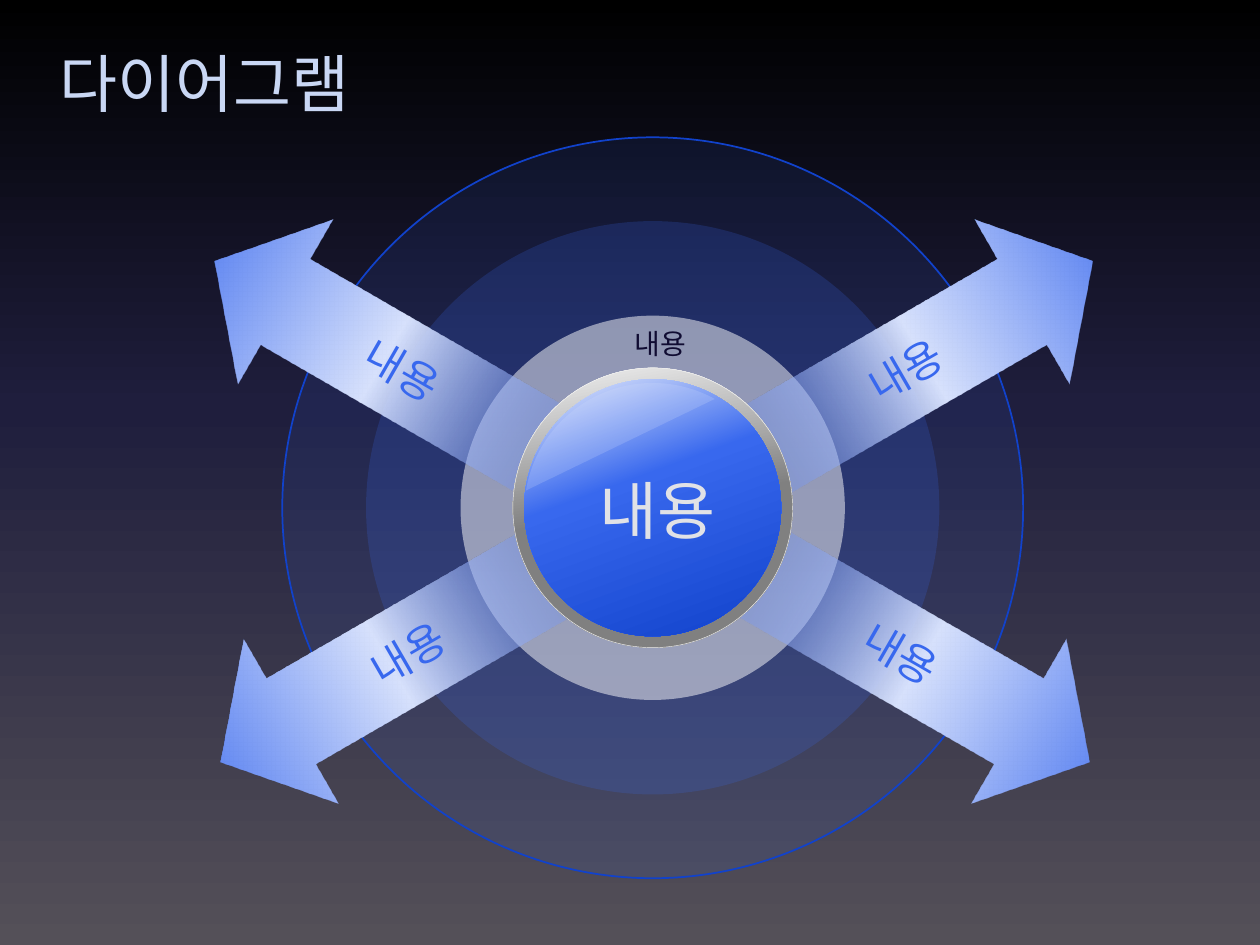
from lxml import etree
from pptx import Presentation
from pptx.dml.color import RGBColor
from pptx.enum.shapes import MSO_SHAPE
from pptx.enum.text import MSO_ANCHOR, PP_ALIGN
from pptx.oxml.ns import qn
from pptx.util import Inches, Pt

OVAL, ARROW, CHORD = MSO_SHAPE.OVAL, MSO_SHAPE.RIGHT_ARROW, MSO_SHAPE.CHORD
MIDDLE, LEFT, CENTER = MSO_ANCHOR.MIDDLE, PP_ALIGN.LEFT, PP_ALIGN.CENTER

BLACK = RGBColor(0x00, 0x00, 0x00)
WHITE = RGBColor(0xFF, 0xFF, 0xFF)
NIGHT = RGBColor(0x1F, 0x1E, 0x3D)
STONE = RGBColor(0x54, 0x50, 0x58)
BLUE = RGBColor(0x38, 0x68, 0xEE)
DEEP = RGBColor(0x11, 0x42, 0xCB)
PALE = RGBColor(0xD7, 0xE1, 0xFC)
ICE = RGBColor(0xEB, 0xF0, 0xFD)
SILVER = RGBColor(0xF2, 0xF2, 0xF2)
GRAY = RGBColor(0x80, 0x80, 0x80)
TITLE = RGBColor(0xC9, 0xD7, 0xF4)
LIGHT = RGBColor(0xE1, 0xE2, 0xE6)
INK = RGBColor(0x10, 0x0C, 0x32)

FONT = "Arial"
LABEL = "내용"
CX, CY = 5.18, 4.03                     # common centre of rings and button
ARROW_W, ARROW_H = 3.1, 1.51

# Diameter, colour, opacity in percent, outline
RINGS = [(5.88, BLUE, 10, DEEP), (4.55, BLUE, 20, None), (3.05, WHITE, 50, None)]
# Centre x, centre y, rotation, flip attribute
ARROWS = [(7.3, 5.27, 30, None), (7.33, 2.85, 330, None),
          (3.09, 5.27, 150, "flipV"), (3.05, 2.85, 30, "flipH")]
# Left, top, width, height, size, colour
LABELS = [(4.66, 3.69, 1.2, 0.71, 36, LIGHT), (4.94, 2.54, 0.66, 0.37, 16, INK)]

# Gradient stops: position, colour, opacity
BACKDROP = [(0, BLACK, 100), (43, NIGHT, 100), (100, STONE, 100)]
BEAM = [(0, BLUE, 0), (50, PALE, 100), (100, BLUE, 100)]
RIM = [(0, SILVER, 100), (50, GRAY, 100), (100, GRAY, 100)]
BUTTON = [(0, ICE, 100), (40, BLUE, 100), (100, DEEP, 100)]


def set_alpha(color_el, opacity):
    if opacity < 100:
        etree.SubElement(color_el, qn("a:alpha"), val=str(opacity * 1000))


def set_gradient(fill, root, stops, angle):
    fill.gradient()
    grad = root.find(".//" + qn("a:gradFill"))
    stop_list = grad.find(qn("a:gsLst"))
    for old in list(stop_list):
        stop_list.remove(old)
    for pos, color, opacity in stops:
        gs = etree.SubElement(stop_list, qn("a:gs"), pos=str(pos * 1000))
        set_alpha(etree.SubElement(gs, qn("a:srgbClr"), val=str(color)), opacity)
    grad.find(qn("a:lin")).set("ang", str(angle * 60000))


def add_centered(shapes, kind, cx, cy, w, h, line=None, weight=1):
    sp = shapes.add_shape(kind, Inches(cx - w / 2), Inches(cy - h / 2),
                          Inches(w), Inches(h))
    sp.shadow.inherit = False
    if line is None:
        sp.line.fill.background()
    else:
        sp.line.color.rgb = line
        sp.line.width = Pt(weight)
    return sp


def set_solid(sp, color, opacity):
    sp.fill.solid()
    sp.fill.fore_color.rgb = color
    set_alpha(sp._element.spPr.find(qn("a:solidFill"))[0], opacity)


def set_text(tf, text, size, color):
    tf.text = text
    font = tf.paragraphs[0].font
    font.size, font.name, font.color.rgb = Pt(size), FONT, color


prs = Presentation()
prs.slide_width, prs.slide_height = Inches(10), Inches(7.5)
s = prs.slides.add_slide(prs.slide_layouts[5])
set_gradient(s.background.fill, s._element, BACKDROP, 90)

# Title
title = s.shapes.title
title.left, title.top = Inches(0.37), Inches(0.19)
title.width, title.height = Inches(9.26), Inches(0.92)
set_text(title.text_frame, "다이어그램", 36, TITLE)
title.text_frame.vertical_anchor = MIDDLE
title.text_frame.paragraphs[0].alignment = LEFT

# Concentric rings
rings = s.shapes.add_group_shape().shapes
for size, color, opacity, line in RINGS:
    set_solid(add_centered(rings, OVAL, CX, CY, size, size, line), color, opacity)

# Arrows pointing to the four corners
for cx, cy, rotation, flip in ARROWS:
    sp = add_centered(s.shapes, ARROW, cx, cy, ARROW_W, ARROW_H)
    sp.rotation = rotation
    sp.adjustments[0], sp.adjustments[1] = 0.52, 0.43
    if flip:
        sp._element.spPr.find(qn("a:xfrm")).set(flip, "1")
    set_gradient(sp.fill, sp._element, BEAM, 0)
    tf = sp.text_frame
    set_text(tf, LABEL, 24, BLUE)
    tf.word_wrap = False
    tf.vertical_anchor = MIDDLE
    tf.paragraphs[0].alignment = CENTER

# Glossy centre button: rim, face, highlight
button = s.shapes.add_group_shape().shapes
rim = add_centered(button, OVAL, CX, CY, 2.22, 2.22, SILVER, 0.25)
set_gradient(rim.fill, rim._element, RIM, 80)
face = add_centered(button, OVAL, CX, CY, 2.04, 2.04)
set_gradient(face.fill, face._element, BUTTON, 70)
gloss = add_centered(button, CHORD, CX, CY + 0.03, 2.04, 2.04)
gloss.rotation = 90
gloss.adjustments[0], gloss.adjustments[1] = 59.63, 125.32
set_solid(gloss, PALE, 20)

# Button and inner ring labels
for x, y, w, h, size, color in LABELS:
    tf = s.shapes.add_textbox(Inches(x), Inches(y), Inches(w), Inches(h)).text_frame
    tf.word_wrap = False
    set_text(tf, LABEL, size, color)

prs.save("out.pptx")
